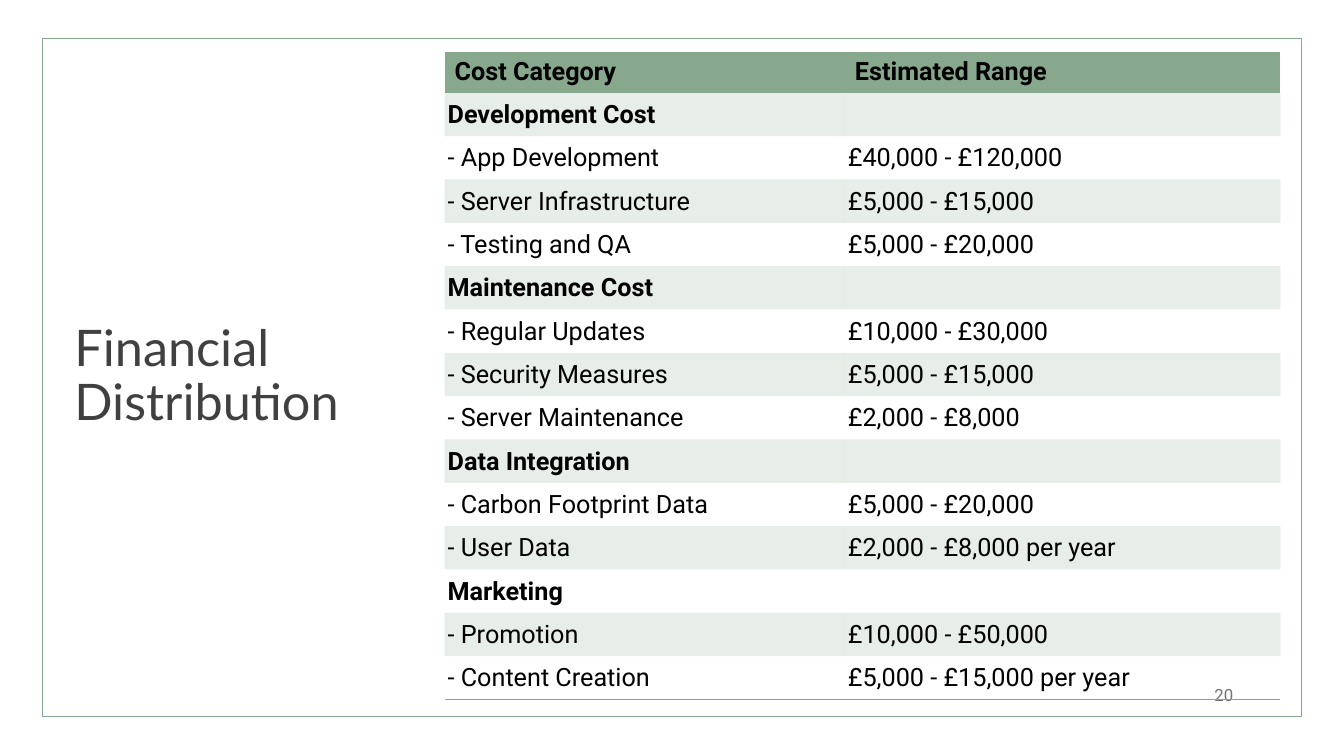
from dataclasses import dataclass

from lxml import etree
from pptx import Presentation
from pptx.dml.color import RGBColor
from pptx.enum.shapes import MSO_SHAPE
from pptx.enum.text import MSO_ANCHOR, PP_ALIGN
from pptx.oxml.ns import qn
from pptx.util import Inches, Pt

RECTANGLE = MSO_SHAPE.RECTANGLE
MIDDLE = MSO_ANCHOR.MIDDLE
LEFT, RIGHT = PP_ALIGN.LEFT, PP_ALIGN.RIGHT


@dataclass(frozen=True)
class Theme:
    green: str = "88A88E"
    title: str = "404040"
    body: str = "000000"
    number: str = "767171"
    title_font: str = "Lato"
    body_font: str = "Roboto"
    title_size: int = 36
    body_size: int = 18
    number_size: int = 12
    band_opacity: int = 20  # percent
    line_width: int = 1


@dataclass(frozen=True)
class CostRow:
    category: str
    amount: str = ""
    banded: bool = False

    @property
    def is_group(self) -> bool:
        return not self.amount


THEME = Theme()
HEADER = ("Cost Category", "Estimated Range")
COSTS = [
    CostRow("Development Cost", banded=True),
    CostRow("- App Development", "£40,000 - £120,000"),
    CostRow("- Server Infrastructure", "£5,000 - £15,000", True),
    CostRow("- Testing and QA", "£5,000 - £20,000"),
    CostRow("Maintenance Cost", banded=True),
    CostRow("- Regular Updates", "£10,000 - £30,000"),
    CostRow("- Security Measures", "£5,000 - £15,000", True),
    CostRow("- Server Maintenance", "£2,000 - £8,000"),
    CostRow("Data Integration", banded=True),
    CostRow("- Carbon Footprint Data", "£5,000 - £20,000"),
    CostRow("- User Data", "£2,000 - £8,000 per year", True),
    CostRow("Marketing"),
    CostRow("- Promotion", "£10,000 - £50,000", True),
    CostRow("- Content Creation", "£5,000 - £15,000 per year"),
]
COLUMN_WIDTHS = (3.97, 4.32)
HEADER_HEIGHT = 0.4
BODY_HEIGHT = 5.98
PLAIN_TABLE_STYLE = "{2D5ABB26-0587-4C30-8999-92F81FD0307C}"


def add_run(paragraph, text: str, font: str, size: int, color: str,
            bold: bool = False) -> None:
    run = paragraph.add_run()
    run.text = text
    run.font.name = font
    run.font.size = Pt(size)
    run.font.bold = bold
    run.font.color.rgb = RGBColor.from_string(color)


def add_label(slide, box: tuple, text: str, font: str, size: int, color: str,
              alignment=LEFT, line_spacing: float = 1.0) -> None:
    frame = slide.shapes.add_textbox(*map(Inches, box)).text_frame
    frame.word_wrap = True
    frame.vertical_anchor = MIDDLE
    paragraph = frame.paragraphs[0]
    paragraph.alignment = alignment
    paragraph.line_spacing = line_spacing
    add_run(paragraph, text, font, size, color)


def add_border(cell, side: str) -> None:
    """Draw one cell edge; call before filling, as borders come first."""
    properties = cell._tc.get_or_add_tcPr()
    line = etree.SubElement(properties, qn(f"a:ln{side}"),
                            w=str(Pt(THEME.line_width)))
    fill = etree.SubElement(line, qn("a:solidFill"))
    etree.SubElement(fill, qn("a:srgbClr"), val=THEME.green)


def fill_cell(cell, opacity: int = 100) -> None:
    cell.fill.solid()
    cell.fill.fore_color.rgb = RGBColor.from_string(THEME.green)
    if opacity < 100:
        color = cell._tc.tcPr.find(".//" + qn("a:srgbClr"))
        etree.SubElement(color, qn("a:alpha"), val=str(opacity * 1000))


def write_cell(cell, text: str, bold: bool) -> None:
    add_run(cell.text_frame.paragraphs[0], text, THEME.body_font,
            THEME.body_size, THEME.body, bold)


def fill_body_cell(cell, text: str, cost: CostRow, is_last: bool) -> None:
    if text:
        cell.vertical_anchor = MIDDLE
        cell.margin_left = cell.margin_right = Inches(0.03)
        cell.margin_top, cell.margin_bottom = Inches(0.07), Inches(0.06)
        write_cell(cell, text, cost.is_group)
    if is_last:
        add_border(cell, "B")
    if cost.banded:
        fill_cell(cell, THEME.band_opacity)
    else:
        cell.fill.background()


def add_cost_table(slide) -> None:
    frame = slide.shapes.add_table(
        len(COSTS) + 1, len(HEADER), Inches(4.41), Inches(0.52),
        Inches(sum(COLUMN_WIDTHS)), Inches(HEADER_HEIGHT + BODY_HEIGHT))
    table = frame.table
    table._tbl.tblPr.find(qn("a:tableStyleId")).text = PLAIN_TABLE_STYLE
    table.horz_banding = False
    for column, width in zip(table.columns, COLUMN_WIDTHS):
        column.width = Inches(width)

    # Header row
    table.rows[0].height = Inches(HEADER_HEIGHT)
    for column_index, heading in enumerate(HEADER):
        cell = table.cell(0, column_index)
        write_cell(cell, heading, True)
        for side in "TB":
            add_border(cell, side)
        fill_cell(cell)

    # Cost rows
    for row_index, cost in enumerate(COSTS, start=1):
        table.rows[row_index].height = Inches(BODY_HEIGHT / len(COSTS))
        for column_index, text in enumerate((cost.category, cost.amount)):
            fill_body_cell(table.cell(row_index, column_index), text, cost,
                           row_index == len(COSTS))


def add_frame(slide) -> None:
    shape = slide.shapes.add_shape(
        RECTANGLE, *map(Inches, (0.42, 0.38, 12.49, 6.73)))
    shape.shadow.inherit = False
    shape.fill.background()
    shape.line.color.rgb = RGBColor.from_string(THEME.green)
    shape.line.width = Pt(THEME.line_width)


def main() -> None:
    presentation = Presentation()
    presentation.slide_width = Inches(13.33)
    presentation.slide_height = Inches(7.5)
    slide = presentation.slides.add_slide(presentation.slide_layouts[6])

    add_frame(slide)
    # Title and slide number
    add_label(slide, (0.64, 2.91, 3.4, 1.67), "Financial Distribution",
              THEME.title_font, THEME.title_size, THEME.title,
              line_spacing=0.9)
    add_label(slide, (9.33, 6.69, 3, 0.4), "20", THEME.body_font,
              THEME.number_size, THEME.number, alignment=RIGHT)
    add_cost_table(slide)
    presentation.save("out.pptx")


if __name__ == "__main__":
    main()
